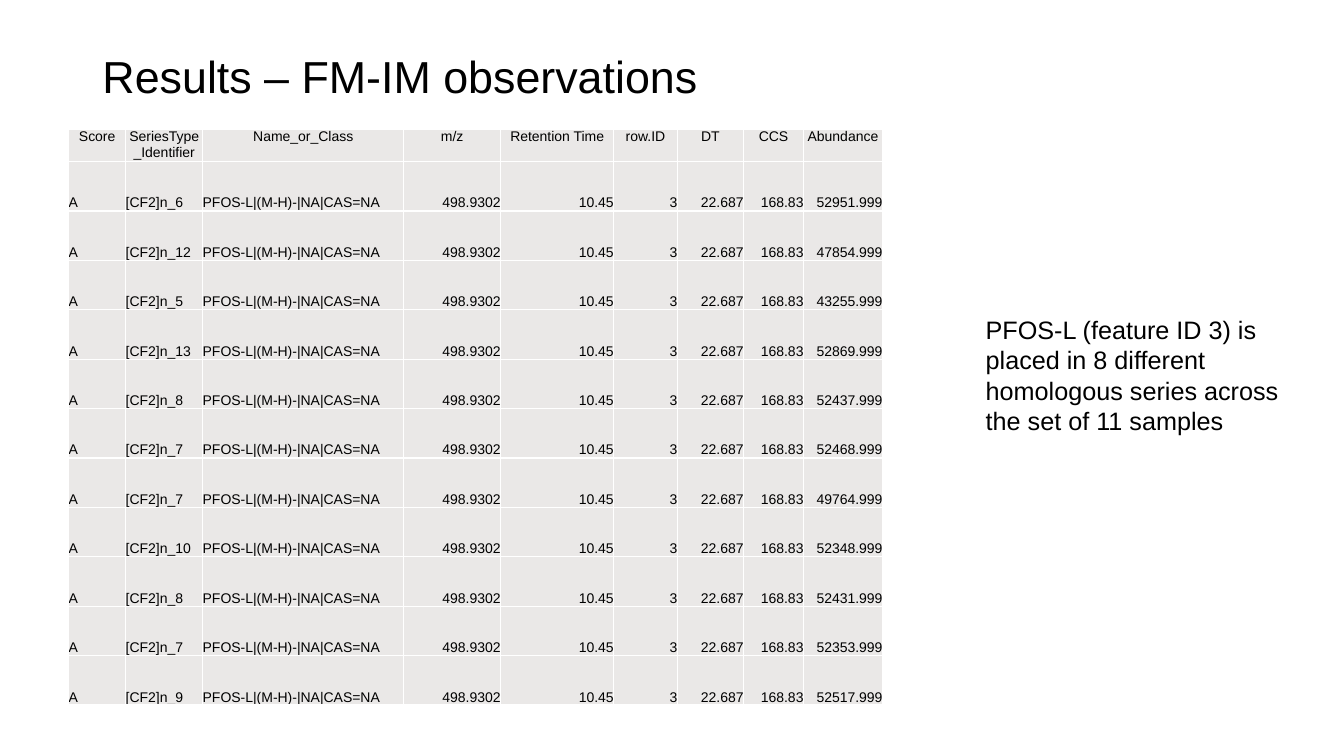
"""Build the FM-IM observations slide with its table of series and a remark."""
from lxml import etree
from pptx import Presentation
from pptx import util as u
from pptx.dml import color
from pptx.enum import text as t
from pptx.oxml import ns

Pt = u.Pt
LEFT, MID, RIGHT = t.PP_ALIGN.LEFT, t.PP_ALIGN.CENTER, t.PP_ALIGN.RIGHT


def paint(code):
    return color.RGBColor.from_string(code)


def write(frame, words, size=10, align=LEFT, space=None):
    frame.word_wrap = True
    par = frame.paragraphs[0]
    par.alignment = align
    par.line_spacing = space
    run = par.add_run()
    run.text = words
    run.font.name = "Arial"
    run.font.size = Pt(size)
    run.font.color.rgb = paint("000000")


deck = Presentation()
deck.slide_width, deck.slide_height = Pt(960), Pt(540)
slide = deck.slides.add_slide(deck.slide_layouts[5])

title = slide.shapes.title
title.left, title.top, title.width, title.height = Pt(66), Pt(28.8), Pt(828), Pt(54.7)
title.text_frame.vertical_anchor = t.MSO_ANCHOR.MIDDLE
write(title.text_frame, "Results – FM-IM observations", size=32, space=0.9)

heads = ["Score", "SeriesType_Identifier", "Name_or_Class", "m/z",
         "Retention Time", "row.ID", "DT", "CCS", "Abundance"]
widths = [40.8, 55, 143.6, 69.2, 80.8, 45.4, 47.4, 42.8, 56.4]
series = [(6, 52951.999), (12, 47854.999), (5, 43255.999), (13, 52869.999),
          (8, 52437.999), (7, 52468.999), (7, 49764.999), (10, 52348.999),
          (8, 52431.999), (7, 52353.999), (9, 52517.999)]
rows = [heads] + [["A", f"[CF2]n_{num}", "PFOS-L|(M-H)-|NA|CAS=NA", "498.9302",
                   "10.45", "3", "22.687", "168.83", str(amount)]
                  for num, amount in series]
high, head = 35.3, 23

grid = slide.shapes.add_table(len(rows), len(heads), Pt(49), Pt(92.4), Pt(sum(widths)),
                              Pt(head + high * len(series))).table
grid.first_row = grid.horz_banding = False
for col, width in zip(grid.columns, widths):
    col.width = Pt(width)

for r, row in enumerate(rows):
    grid.rows[r].height = Pt(high if r else head)
    for c, words in enumerate(row):
        cell = grid.cell(r, c)
        cell.margin_left = cell.margin_right = cell.margin_top = cell.margin_bottom = 0
        cell.vertical_anchor = t.MSO_ANCHOR.BOTTOM if r else t.MSO_ANCHOR.TOP
        align = MID if r == 0 else LEFT if c < 3 else RIGHT
        write(cell.text_frame, words, align=align)
        props = cell._tc.get_or_add_tcPr()
        for side in ("lnL", "lnR", "lnT", "lnB"):
            line = etree.SubElement(props, ns.qn("a:" + side), w=str(Pt(1)))
            fill = etree.SubElement(line, ns.qn("a:solidFill"))
            etree.SubElement(fill, ns.qn("a:srgbClr"), val="FFFFFF")
        cell.fill.solid()
        cell.fill.fore_color.rgb = paint("EAE8E7")

note = slide.shapes.add_textbox(Pt(697), Pt(221), Pt(228.2), Pt(94.3))
write(note.text_frame, "PFOS-L (feature ID 3) is placed in 8 different homologous "
      "series across the set of 11 samples", size=18)
note.text_frame.auto_size = t.MSO_AUTO_SIZE.SHAPE_TO_FIT_TEXT

deck.save("out.pptx")
